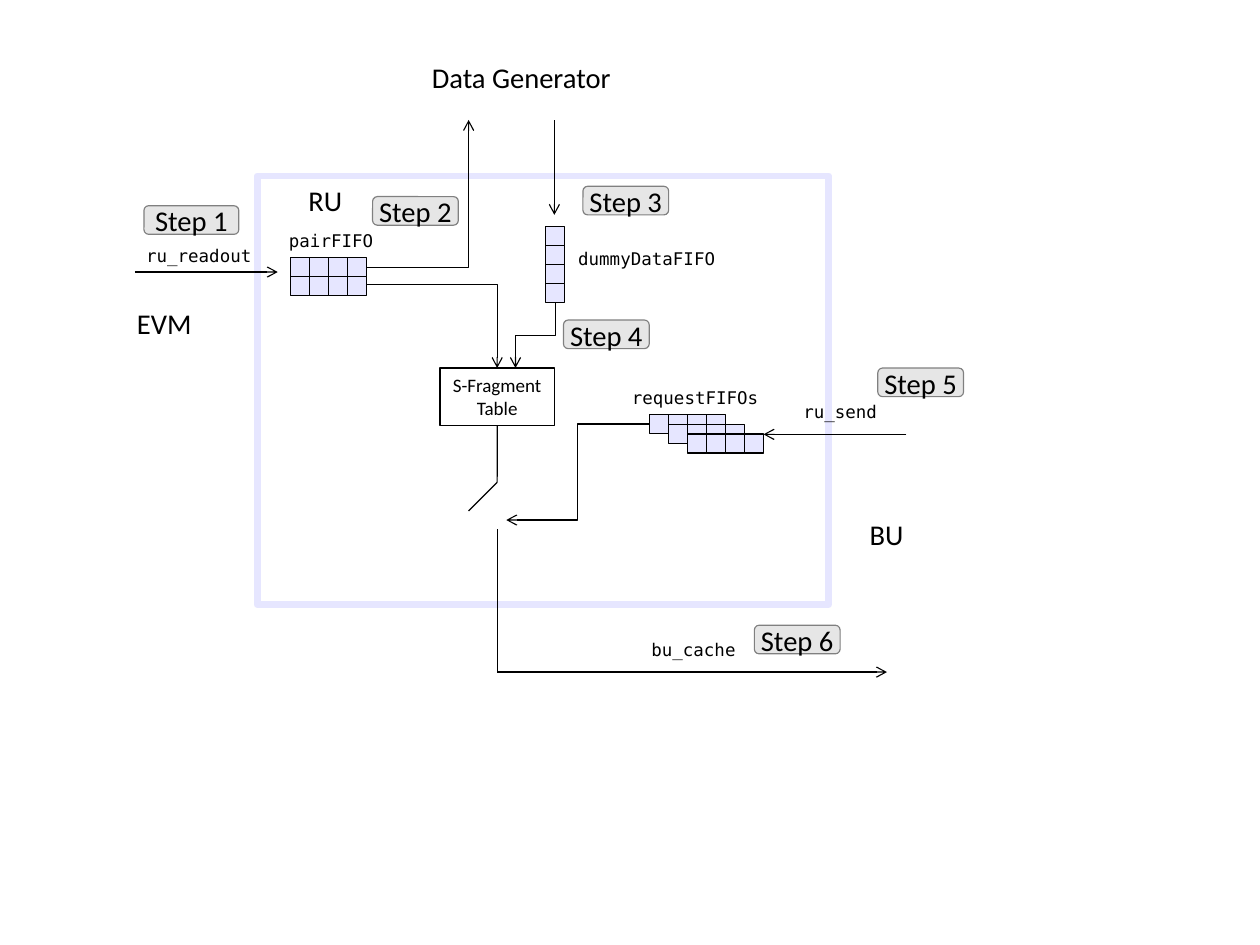
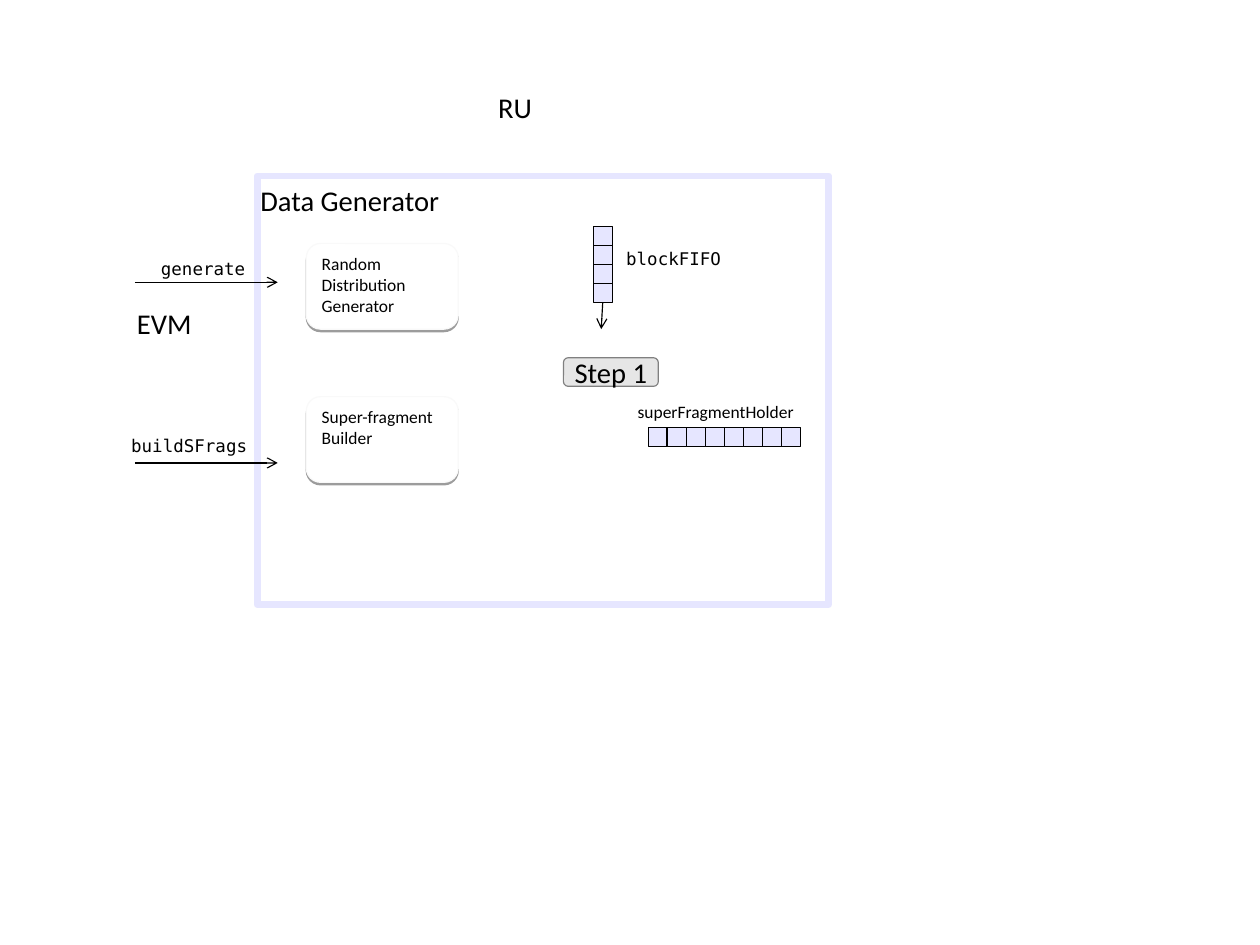
from dataclasses import dataclass

from lxml import etree
from pptx import Presentation
from pptx.dml.color import RGBColor
from pptx.enum import shapes as kinds, text as txt
from pptx.oxml.ns import qn
from pptx.util import Inches, Pt


@dataclass(frozen=True)
class TextStyle:
    font: str
    size: float
    spacing: float = 1.0


@dataclass(frozen=True)
class Theme:
    ink: RGBColor = RGBColor(0x00, 0x00, 0x00)
    white: RGBColor = RGBColor(0xFF, 0xFF, 0xFF)
    lavender: RGBColor = RGBColor(0xE6, 0xE6, 0xFF)
    badge_fill: RGBColor = RGBColor(0xE6, 0xE6, 0xE6)
    badge_line: RGBColor = RGBColor(0x80, 0x80, 0x80)
    card_line: RGBColor = RGBColor(0xF9, 0xF9, 0xF9)
    thin: float = 0.75
    thick: float = 4.31
    heading: TextStyle = TextStyle("Calibri", 18)
    loose: TextStyle = TextStyle("Calibri", 18, 1.02)
    table: TextStyle = TextStyle("Calibri", 12)
    card: TextStyle = TextStyle("Calibri", 11)
    holder: TextStyle = TextStyle("Calibri", 11, 0.98)
    code: TextStyle = TextStyle("DejaVu Sans Mono", 11, 0.98)


THEME = Theme()
SLIDE_WIDTH, SLIDE_HEIGHT = 28 / 2.54, 21 / 2.54
CELL = 1 / 6
RECT = kinds.MSO_SHAPE.RECTANGLE
ROUNDED = kinds.MSO_SHAPE.ROUNDED_RECTANGLE
LEFT, CENTER = txt.PP_ALIGN.LEFT, txt.PP_ALIGN.CENTER
TOP, MIDDLE = txt.MSO_ANCHOR.TOP, txt.MSO_ANCHOR.MIDDLE
BOTTOM_SIDE = 2


def inches(*lengths):
    return [Inches(length) for length in lengths]


def write(shape, words, style, align=LEFT, anchor=TOP, wrap=False):
    frame = shape.text_frame
    frame.auto_size = txt.MSO_AUTO_SIZE.NONE
    frame.word_wrap = wrap
    frame.vertical_anchor = anchor
    frame.text = words
    paragraph = frame.paragraphs[0]
    paragraph.alignment = align
    paragraph.line_spacing = style.spacing
    paragraph.font.name = style.font
    paragraph.font.size = Pt(style.size)
    paragraph.font.color.rgb = THEME.ink


def add_label(slide, words, x, y, width, height=0.28, style=THEME.code):
    write(slide.shapes.add_textbox(*inches(x, y, width, height)), words, style)


def add_heading(slide, words, x, y, width, style=THEME.heading):
    add_label(slide, words, x, y, width, 0.4, style)


def add_box(parent, kind, x, y, width, height, fill, line, weight=THEME.thin):
    box = parent.shapes.add_shape(kind, *inches(x, y, width, height))
    box.shadow.inherit = False
    if fill is None:
        box.fill.background()
    else:
        box.fill.solid()
        box.fill.fore_color.rgb = fill
    box.line.color.rgb = line
    box.line.width = Pt(weight)
    return box


def add_frame(slide):
    add_box(slide, RECT, 2.25, 1.54, 5, 3.75, None, THEME.lavender, THEME.thick)


def add_step(slide, number, x, y, width=0.75):
    badge = add_box(slide, ROUNDED, x, y, width, 0.25, THEME.badge_fill, THEME.badge_line)
    write(badge, f"Step {number}", THEME.loose, CENTER, MIDDLE)


def add_card(slide, words, x, y):
    card = add_box(slide, ROUNDED, x, y, 1.33, 0.75, THEME.white, THEME.card_line)
    write(card, words, THEME.card, wrap=True)
    effects = card._element.spPr.find(qn("a:effectLst"))
    shadow = etree.SubElement(effects, qn("a:outerShdw"), blurRad="0", dist=str(Pt(1.6)),
                              dir="5400000", rotWithShape="0")
    color = etree.SubElement(shadow, qn("a:srgbClr"), val=str(THEME.ink))
    etree.SubElement(color, qn("a:alpha"), val="38000")


def add_fifo(slide, x, y, count=4, vertical=False):
    """Draw a queue as a grouped run of cells and return its last cell."""
    queue = slide.shapes.add_group_shape()
    dx, dy = (0, CELL) if vertical else (CELL, 0)
    cells = [add_box(queue, RECT, x + i * dx, y + i * dy, CELL, CELL, THEME.lavender, THEME.ink)
             for i in range(count)]
    return cells[-1]


def add_line(slide, begin, end, arrow=True, kind=kinds.MSO_CONNECTOR.STRAIGHT):
    line = slide.shapes.add_connector(kind, *inches(*begin, *end))
    line.line.color.rgb = THEME.ink
    line.line.width = Pt(THEME.thin)
    if arrow:
        etree.SubElement(line.line._get_or_add_ln(), qn("a:tailEnd"), type="arrow")
    etree.SubElement(line._element.spPr, qn("a:effectLst"))
    return line


def add_elbow(slide, begin, end):
    """Arrow that runs across, down or up, and across again."""
    return add_line(slide, begin, end, kind=kinds.MSO_CONNECTOR.ELBOW)


def add_corner(slide, begin, end):
    """Arrow that runs across, then turns once."""
    add_elbow(slide, begin, end)._element.spPr.find(qn("a:prstGeom")).set("prst", "bentConnector2")


def add_drop(slide, begin, end):
    """Arrow that runs down, left and down: an elbow turned by 90 degrees."""
    (x1, y1), (x2, y2) = begin, end
    middle_x, middle_y = (x1 + x2) / 2, (y1 + y2) / 2
    half_drop, half_shift = (y2 - y1) / 2, (x1 - x2) / 2
    elbow = add_elbow(slide, (middle_x - half_drop, middle_y - half_shift),
                      (middle_x + half_drop, middle_y + half_shift))
    elbow._element.spPr.find(qn("a:xfrm")).set("rot", "5400000")


def build_readout_slide(slide):
    for row in range(2):
        add_fifo(slide, 2.54, 2.25 + row * CELL)
    add_frame(slide)
    for layer in range(3):
        add_fifo(slide, 5.68 + layer * CELL, 3.63 + layer * CELL / 2)
    add_fifo(slide, 4.77, 1.98, vertical=True)

    fragment_table = add_box(slide, RECT, 3.85, 3.22, 1, 0.5, THEME.white, THEME.ink)
    write(fragment_table, "S-Fragment Table", THEME.table, CENTER, wrap=True)

    for heading in (("RU", 2.6, 1.55, 0.53), ("EVM", 1.1, 2.63, 0.7), ("BU", 7.51, 4.47, 0.53),
                    ("Data Generator", 3.68, 0.47, 1.8, THEME.loose)):
        add_heading(slide, *heading)
    for label in (("pairFIFO", 2.43, 1.97, 0.96), ("ru_readout", 1.18, 2.1, 1.14),
                  ("requestFIFOs", 5.43, 3.35, 1.33), ("ru_send", 6.93, 3.47, 0.96),
                  ("dummyDataFIFO", 4.96, 2.13, 1.42), ("bu_cache", 5.6, 5.55, 0.96)):
        add_label(slide, *label)

    for begin, end in (((1.18, 2.38), (2.43, 2.38)), ((7.93, 3.8), (6.68, 3.8)),
                       ((4.85, 1.05), (4.85, 1.88)), ((4.35, 5.88), (7.76, 5.88))):
        add_line(slide, begin, end)
    switch_top = add_line(slide, (4.35, 3.72), (4.35, 4.22), arrow=False)
    switch_top.begin_connect(fragment_table, BOTTOM_SIDE)
    add_line(slide, (4.35, 4.22), (4.1, 4.47), arrow=False)
    add_line(slide, (4.35, 4.63), (4.35, 5.88), arrow=False)

    add_drop(slide, (4.86, 2.65), (4.51, 3.22))
    add_corner(slide, (3.21, 2.49), (4.35, 3.22))
    add_corner(slide, (3.21, 2.34), (4.1, 1.05))
    add_elbow(slide, (5.68, 3.71), (4.43, 4.55))

    add_step(slide, 1, 1.26, 1.8, 0.83)
    step_places = ((3.26, 1.72), (5.1, 1.63), (4.93, 2.8), (7.68, 3.22), (6.6, 5.47))
    for number, (x, y) in enumerate(step_places, start=2):
        add_step(slide, number, x, y)


def build_generator_slide(slide):
    add_frame(slide)
    for heading in (("Data Generator", 2.18, 1.55, 1.8), ("EVM", 1.1, 2.63, 0.7),
                    ("RU", 4.26, 0.73, 0.58, THEME.loose)):
        add_heading(slide, *heading)

    last_block = add_fifo(slide, 5.19, 1.98, vertical=True)
    block_out = add_line(slide, (5.27, 2.65), (5.26, 2.88))
    block_out.begin_connect(last_block, BOTTOM_SIDE)
    add_fifo(slide, 5.67, 3.74, count=8)

    for label in (("blockFIFO", 5.38, 2.13, 1.05), ("generate", 1.31, 2.22, 0.96),
                  ("buildSFrags", 1.05, 3.77, 1.24)):
        add_label(slide, *label)
    add_label(slide, "superFragmentHolder", 5.48, 3.47, 1.6, 0.33, THEME.holder)

    for y in (2.47, 4.05):
        add_line(slide, (1.18, y), (2.43, y))
    add_step(slide, 1, 4.93, 3.13, 0.83)
    add_card(slide, "Random Distribution Generator", 2.68, 2.13)
    add_card(slide, "Super-fragment Builder", 2.68, 3.47)


def main():
    deck = Presentation()
    deck.slide_width, deck.slide_height = inches(SLIDE_WIDTH, SLIDE_HEIGHT)
    blank = deck.slide_layouts[6]
    for build in (build_readout_slide, build_generator_slide):
        build(deck.slides.add_slide(blank))
    deck.save("out.pptx")


if __name__ == "__main__":
    main()
